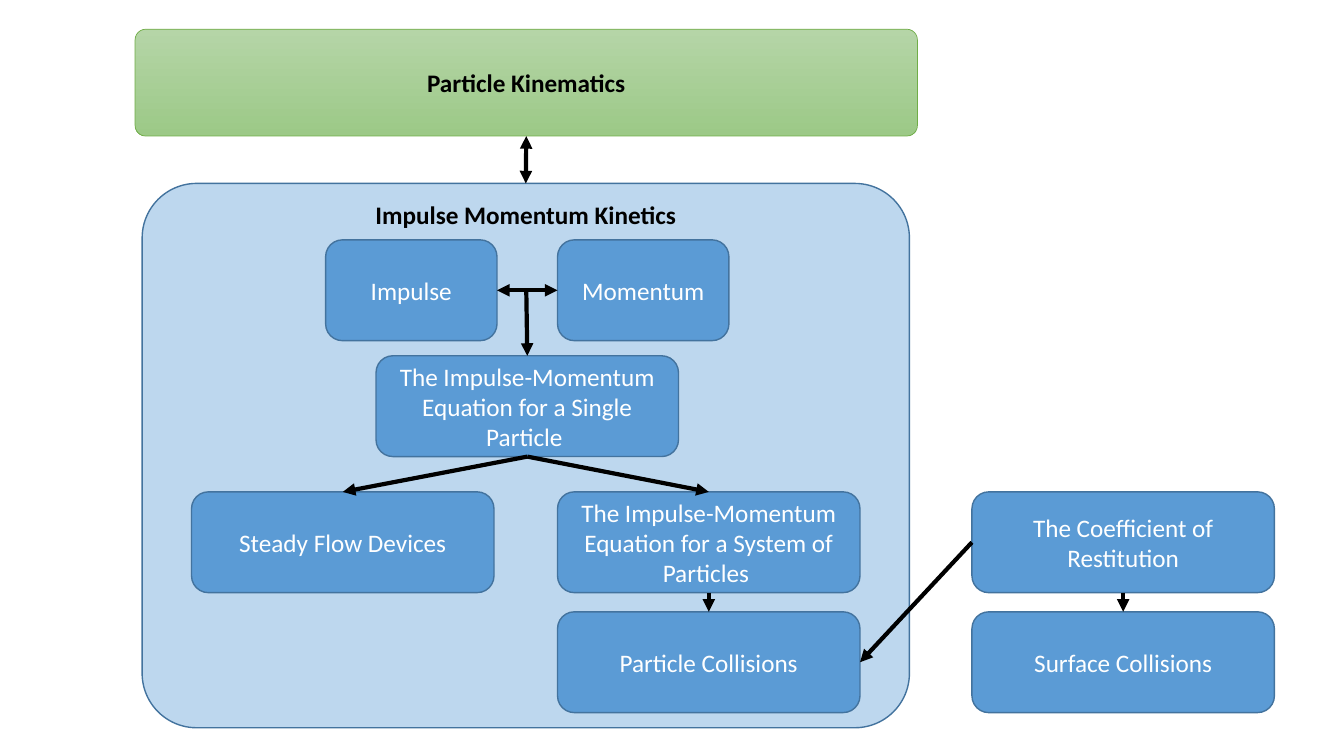
"""Build the concept map of impulse momentum kinetics."""
import pptx
import pptx.dml.color
import pptx.enum.shapes
import pptx.enum.text
import pptx.oxml
import pptx.oxml.ns
import pptx.util

Inches = pptx.util.Inches
Pt = pptx.util.Pt
RGBColor = pptx.dml.color.RGBColor

BLACK = RGBColor(0x00, 0x00, 0x00)
WHITE = RGBColor(0xFF, 0xFF, 0xFF)
TOPIC_BLUE = RGBColor(0x5B, 0x9B, 0xD5)
PANEL_BLUE = RGBColor(0xBD, 0xD7, 0xEE)
BORDER_BLUE = RGBColor(0x43, 0x73, 0x9E)
GREEN_TOP = RGBColor(0xB5, 0xD5, 0xA7)
GREEN_BOTTOM = RGBColor(0x9C, 0xC9, 0x87)
GREEN_BORDER = RGBColor(0x70, 0xAD, 0x47)

TOP, LEFT, BOTTOM, RIGHT = range(4)

presentation = pptx.Presentation()
presentation.slide_width = Inches(13.33)
presentation.slide_height = Inches(7.5)
slide = presentation.slides.add_slide(presentation.slide_layouts[6])


def add_box(label, left, top, width, height, text_color, border, border_width):
    box = slide.shapes.add_shape(
        pptx.enum.shapes.MSO_SHAPE.ROUNDED_RECTANGLE,
        Inches(left), Inches(top), Inches(width), Inches(height))
    box.shadow.inherit = False
    box.line.color.rgb = border
    box.line.width = Pt(border_width)
    frame = box.text_frame
    frame.word_wrap = True
    frame.vertical_anchor = pptx.enum.text.MSO_ANCHOR.MIDDLE
    frame.text = label
    paragraph = frame.paragraphs[0]
    paragraph.alignment = pptx.enum.text.PP_ALIGN.CENTER
    font = paragraph.runs[0].font
    font.name = "Calibri"
    font.size = Pt(18)
    font.bold = text_color == BLACK
    font.color.rgb = text_color
    return box


def add_arrow(start, end, both_ends=False):
    arrow = slide.shapes.add_connector(
        pptx.enum.shapes.MSO_CONNECTOR.STRAIGHT,
        Inches(5.22), Inches(2.88), Inches(5.22), Inches(2.88))
    if start:
        arrow.begin_connect(*start)
    arrow.end_connect(*end)
    arrow.line.color.rgb = BLACK
    arrow.line.width = Pt(3)
    line = arrow.line._get_or_add_ln()
    for tag in ["a:headEnd", "a:tailEnd"] if both_ends else ["a:tailEnd"]:
        tip = pptx.oxml.xmlchemy.OxmlElement(tag)
        tip.set("type", "triangle")
        line.append(tip)
    arrow._element.spPr.append(pptx.oxml.xmlchemy.OxmlElement("a:effectLst"))


kinetics = add_box("Impulse Momentum Kinetics", 1.41, 1.82, 7.61, 5.4,
                   BLACK, BORDER_BLUE, 1)
kinetics.adjustments[0] = 0.1
kinetics.fill.solid()
kinetics.fill.fore_color.rgb = PANEL_BLUE
kinetics.text_frame.vertical_anchor = pptx.enum.text.MSO_ANCHOR.TOP
kinetics.text_frame.margin_top = 0

kinematics = add_box("Particle Kinematics", 1.34, 0.29, 7.76, 1.06,
                     BLACK, GREEN_BORDER, 0.5)
kinematics.adjustments[0] = 0.1
kinematics.fill.gradient()
kinematics.fill.gradient_angle = 270
for stop, color in zip(kinematics.fill.gradient_stops, [GREEN_TOP, GREEN_BOTTOM]):
    stop.color.rgb = color

topics = {}
for key, label, left, top, width in [
    ("impulse", "Impulse", 3.23, 2.38, 1.7),
    ("momentum", "Momentum", 5.53, 2.38, 1.7),
    ("single", "The Impulse-Momentum Equation for a Single Particle ", 3.73, 3.53, 3),
    ("steady flow", "Steady Flow Devices", 1.9, 4.88, 3),
    ("system", "The Impulse-Momentum Equation for a System of Particles ", 5.53, 4.88, 3),
    ("restitution", "The Coefficient of Restitution", 9.64, 4.88, 3),
    ("particle", "Particle Collisions", 5.53, 6.07, 3),
    ("surface", "Surface Collisions", 9.64, 6.07, 3),
]:
    topic = add_box(label, left, top, width, 1, WHITE, BORDER_BLUE, 1)
    topic.fill.solid()
    topic.fill.fore_color.rgb = TOPIC_BLUE
    topics[key] = topic

add_arrow((kinematics, BOTTOM), (kinetics, TOP), both_ends=True)
add_arrow((topics["momentum"], LEFT), (topics["impulse"], RIGHT), both_ends=True)
add_arrow(None, (topics["single"], TOP))
for source, source_side, target, target_side in [
    ("single", BOTTOM, "steady flow", TOP),
    ("single", BOTTOM, "system", TOP),
    ("system", BOTTOM, "particle", TOP),
    ("restitution", BOTTOM, "surface", TOP),
    ("restitution", LEFT, "particle", RIGHT),
]:
    add_arrow((topics[source], source_side), (topics[target], target_side))

presentation.save("out.pptx")
